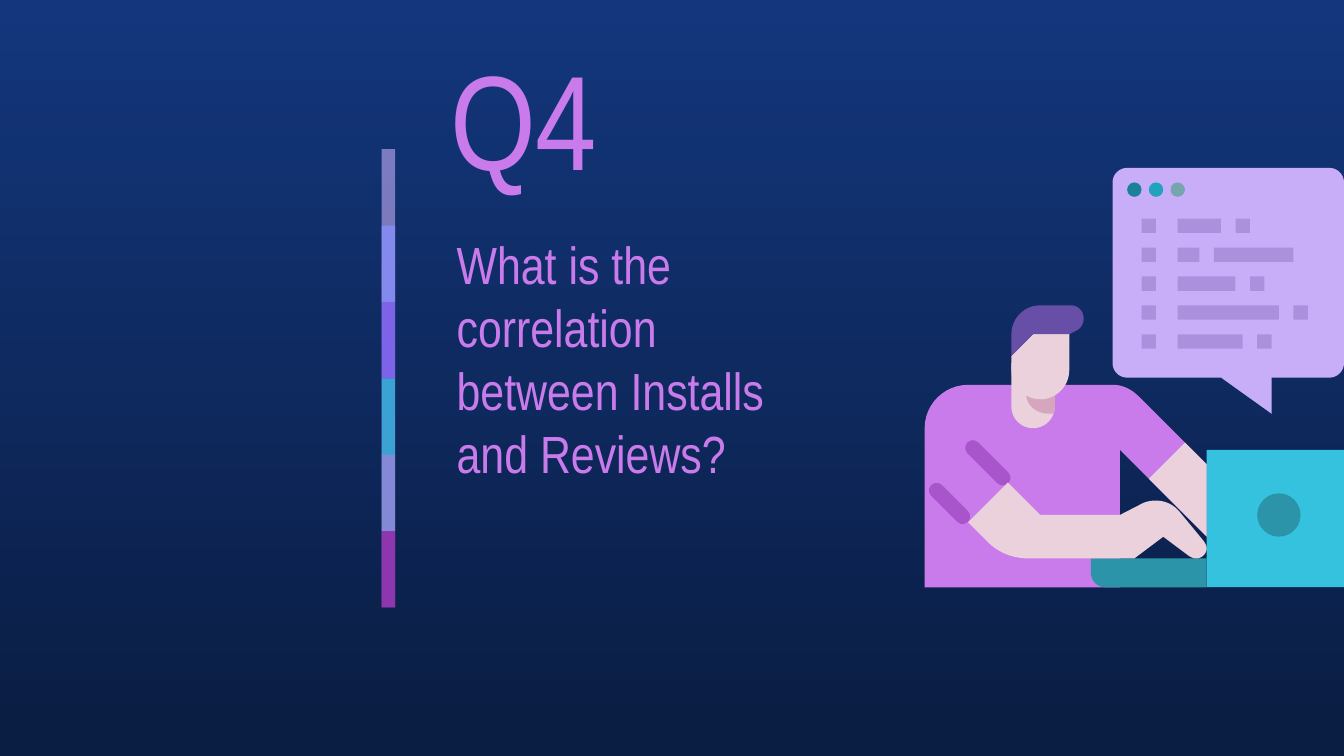
from dataclasses import dataclass

from lxml import etree
from pptx import Presentation
from pptx import util as u
from pptx.dml.color import RGBColor
from pptx.enum import shapes, text
from pptx.oxml.ns import qn

WIDTH, HEIGHT = 10, 10 * 9 / 16

# Illustration grid: 29 columns end at the right edge of the slide
LEFT, TOP = 6.88, 1.25
CELL = (WIDTH - LEFT) / 29

RECT = shapes.MSO_SHAPE.RECTANGLE
OVAL = shapes.MSO_SHAPE.OVAL
ROUNDED = shapes.MSO_SHAPE.ROUNDED_RECTANGLE


@dataclass(frozen=True)
class Theme:
    font: str = "Arial Narrow"
    number_size: int = 72
    question_size: int = 28
    sky: str = "13367C"
    night: str = "0A1D42"
    pink: str = "CA7BEB"
    fold: str = "A855CB"
    cyan: str = "35C2DF"
    teal: str = "2B94A9"
    skin: str = "EAD1DC"
    shade: str = "D5A6BD"
    hair: str = "674EA7"
    lilac: str = "C8AEF8"
    code: str = "AB90DE"
    dots: tuple = ("198298", "22A2BC", "76A5AF")
    # Colour and opacity in percent
    bars: tuple = (("C8AEF8", 59), ("878FFF", 74), ("9154F8", 53),
                   ("35C2DF", 76), ("CA7BEB", 56), ("972CB4", 74))


THEME = Theme()

# Outlines in grid cells: pairs are corners, sixes are cubic curves
BODY = [(3, 15), (1.4, 15, 0, 16.3, 0, 18), (0, 29), (13.5, 29), (13.5, 19.5),
        (19.5, 25.5), (19.5, 20.5), (14.8, 15.8), (14.3, 15.3, 13.7, 15, 13, 15)]
KEYBOARD = [(11.5, 27), (11.5, 28), (11.5, 28.55, 11.95, 29, 12.5, 29),
            (19.5, 29), (19.5, 27)]
NECK = [(6, 13.5), (6, 16.5), (6, 17.33, 6.67, 18, 7.5, 18),
        (8.33, 18, 9, 17.33, 9, 16.5), (9, 13.5)]
NECK_SHADE = [(7, 13.5), (7, 15.5), (7, 16.4, 7.7, 17, 8.6, 17), (8.9, 17),
              (9, 16.85, 9, 16.65, 9, 16.5), (9, 13.5)]
NEAR_ARM = [(5.75, 21.75), (3, 24.5), (4.35, 25.85), (5.1, 26.6, 6.1, 27, 7.15, 27),
            (14.5, 27), (16.5, 25.5), (18.3, 26.85), (18.5, 26.95, 18.6, 27, 18.8, 27),
            (19.15, 27, 19.5, 26.7, 19.5, 26.3), (19.5, 26.1, 19.4, 25.95, 19.3, 25.8),
            (17.65, 23.8), (17.25, 23.3, 16.65, 23, 16, 23),
            (15.7, 23, 15.35, 23.05, 15.05, 23.2), (13.5, 24), (8, 24)]
FAR_ARM = [(18, 19), (15.5, 21.5), (19.5, 25.5), (19.5, 20.5)]
BUBBLE = [(14, 0), (13.45, 0, 13, 0.45, 13, 1), (13, 13.5),
          (13, 14.05, 13.45, 14.5, 14, 14.5), (20.5, 14.5), (24, 17), (24, 14.5),
          (28, 14.5), (28.55, 14.5, 29, 14.05, 29, 13.5), (29, 1),
          (29, 0.45, 28.55, 0, 28, 0)]
FACE = [(7.5, 11.5), (6, 13), (6, 14), (6, 15.1, 6.9, 16, 8, 16),
        (9.1, 16, 10, 15.1, 10, 14), (10, 11.5)]
HAIR = [(8, 9.5), (6.9, 9.5, 6, 10.4, 6, 11.5), (6, 13), (7.5, 11.5), (10, 11.5),
        (10.5, 11.25), (10.8, 11.1, 11, 10.8, 11, 10.4),
        (11, 9.9, 10.6, 9.5, 10.1, 9.5)]

# Widths of the two code blocks on each line of the bubble
CODE_LINES = [(3, 1), (1.5, 5.5), (4, 1), (7, 1), (4.5, 1)]


def paint(shape, colour, opacity=100):
    shape.shadow.inherit = False
    shape.line.fill.background()
    shape.fill.solid()
    shape.fill.fore_color.rgb = RGBColor.from_string(colour)
    if opacity < 100:
        node = shape.fill._xPr.find(".//" + qn("a:srgbClr"))
        etree.SubElement(node, qn("a:alpha"), val=str(opacity * 1000))


def grid_point(column, row):
    return u.Inches(LEFT + column * CELL), u.Inches(TOP + row * CELL)


def add_block(group, kind, column, row, columns, rows, colour):
    size = u.Inches(columns * CELL), u.Inches(rows * CELL)
    shape = group.shapes.add_shape(kind, *grid_point(column, row), *size)
    paint(shape, colour)
    return shape


def curve_points(start, curve, steps=12):
    """Points along a cubic curve, after its start."""
    controls = [start, curve[:2], curve[2:4], curve[4:]]
    for step in range(1, steps + 1):
        t = step / steps
        weights = ((1 - t) ** 3, 3 * t * (1 - t) ** 2, 3 * t * t * (1 - t), t ** 3)
        yield tuple(sum(w * point[axis] for w, point in zip(weights, controls))
                    for axis in (0, 1))


def add_outline(group, outline, colour):
    points = [outline[0]]
    for part in outline[1:]:
        points.extend([part] if len(part) == 2 else curve_points(points[-1], part))
    corners = [grid_point(*point) for point in points]
    builder = group.shapes.build_freeform(*corners[0])
    builder.add_line_segments(corners[1:], close=True)
    paint(builder.convert_to_shape(), colour)


def add_fold(group, column, row, length):
    """A rounded sleeve stripe, tilted about its centre."""
    stripe = add_block(group, ROUNDED, column - length / 2, row - 0.53,
                       length, 1.06, THEME.fold)
    stripe.adjustments[0] = 0.5
    stripe.rotation = 45


def set_text(box, wording, size):
    frame = box.text_frame
    frame.text = wording
    frame.word_wrap = True
    frame.auto_size = text.MSO_AUTO_SIZE.NONE
    frame.vertical_anchor = text.MSO_ANCHOR.MIDDLE
    frame.margin_left = frame.margin_right = u.Inches(0.1)
    frame.margin_top = frame.margin_bottom = u.Inches(0.1)
    para = frame.paragraphs[0]
    para.alignment = text.PP_ALIGN.LEFT
    para.line_spacing = 1.0
    span = para.runs[0]
    span.font.name = THEME.font
    span.font.size = u.Pt(size)
    span.font.color.rgb = RGBColor.from_string(THEME.pink)


def add_background(page):
    fill = page.background.fill
    fill.gradient()
    fill.gradient_angle = 270
    for stop, colour in zip(fill.gradient_stops, (THEME.sky, THEME.night)):
        stop.color.rgb = RGBColor.from_string(colour)


def add_bars(page):
    """Translucent bars, each covering the lower half of the one before."""
    group = page.shapes.add_group_shape()
    step = 3.41 / len(THEME.bars)
    for index, (colour, opacity) in enumerate(THEME.bars):
        height = step if index == len(THEME.bars) - 1 else 2 * step
        bar = group.shapes.add_shape(RECT, u.Inches(2.84), u.Inches(1.11 + index * step),
                                     u.Inches(0.1), u.Inches(height))
        paint(bar, colour, opacity)


def add_headings(page):
    title = page.shapes.title
    title.left, title.top = u.Inches(3.25), u.Inches(0.19)
    title.width, title.height = u.Inches(1.75), u.Inches(1.35)
    set_text(title, "Q4", THEME.number_size)
    question = page.shapes.add_textbox(u.Inches(3.3), u.Inches(1.51),
                                       u.Inches(2.87), u.Inches(2.31))
    set_text(question, "What is the correlation between Installs and Reviews?",
             THEME.question_size)


def add_illustration(page):
    group = page.shapes.add_group_shape()
    # Body and laptop
    add_outline(group, BODY, THEME.pink)
    add_fold(group, 1.72, 23.2, 3.6)
    add_fold(group, 4.37, 20.4, 4)
    add_block(group, RECT, 19.5, 19.5, 9.5, 9.5, THEME.cyan)
    for outline, colour in ((KEYBOARD, THEME.teal), (NECK, THEME.skin),
                            (NECK_SHADE, THEME.shade), (NEAR_ARM, THEME.skin),
                            (FAR_ARM, THEME.skin)):
        add_outline(group, outline, colour)
    add_block(group, OVAL, 23, 22.5, 3, 3, THEME.teal)
    # Speech bubble with lines of code
    add_outline(group, BUBBLE, THEME.lilac)
    for line, (first, second) in enumerate(CODE_LINES):
        for column, width in ((15, 1), (17.5, first), (18.5 + first, second)):
            add_block(group, RECT, column, 3.5 + 2 * line, width, 1, THEME.code)
    for index, colour in enumerate(THEME.dots):
        add_block(group, OVAL, 14 + 1.5 * index, 1, 1, 1, colour)
    # Head
    add_outline(group, FACE, THEME.skin)
    add_outline(group, HAIR, THEME.hair)


def main():
    deck = Presentation()
    deck.slide_width, deck.slide_height = u.Inches(WIDTH), u.Inches(HEIGHT)
    page = deck.slides.add_slide(deck.slide_layouts.get_by_name("Title Only"))
    add_background(page)
    add_bars(page)
    add_headings(page)
    add_illustration(page)
    deck.save("out.pptx")


if __name__ == "__main__":
    main()
